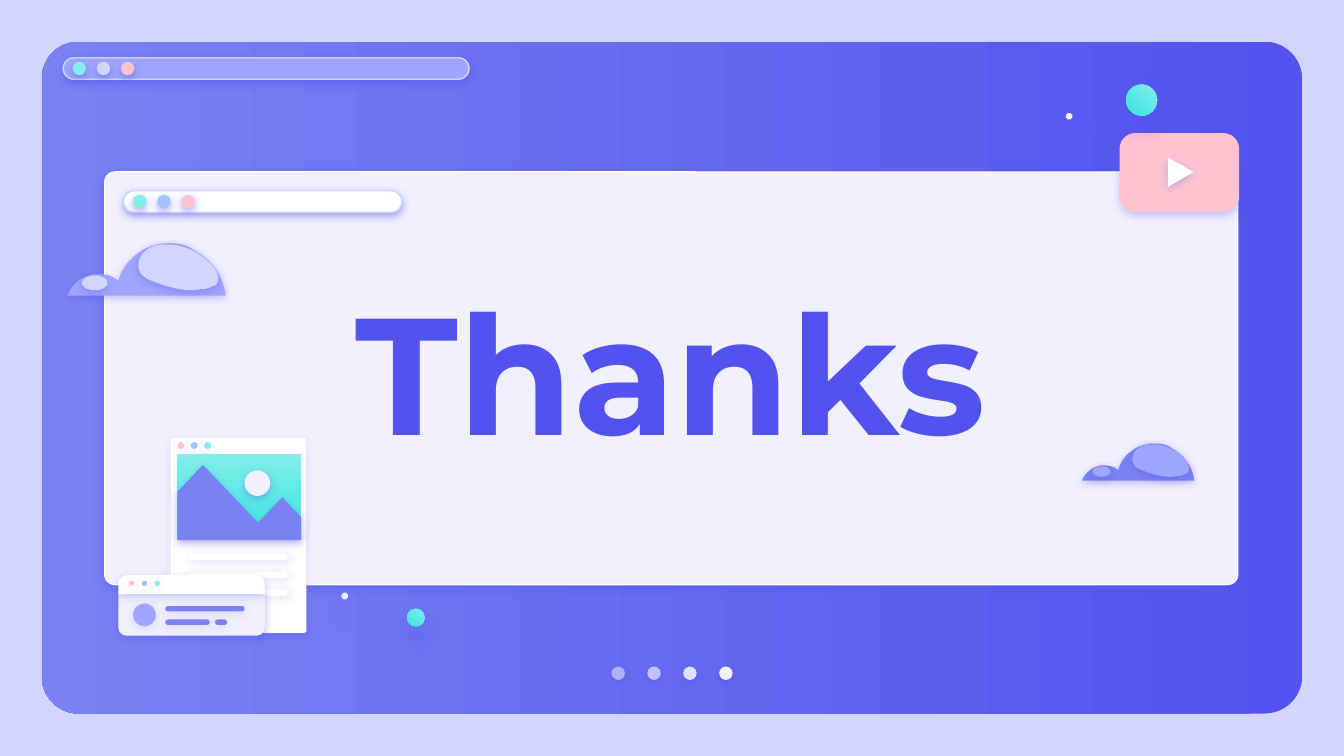
from lxml import etree
from pptx import Presentation
from pptx import util as u
from pptx.dml.color import RGBColor
from pptx.enum import shapes, text
from pptx.oxml.ns import qn

HEX = {
    "sky": "D2D6FF", "deep": "5352EE", "blue": "7882F3", "lilac": "9EA6FF",
    "pale": "F1F0FF", "white": "FFFFFF", "mint": "81EEEB", "teal": "3AE4DF",
    "pink": "FFC3D0", "azure": "A1C3FF",
}
KIND = shapes.MSO_SHAPE

# Shadows: opacity %, blur pt, distance pt, direction in degrees
HARD = (50, 4.5, 1.5, 90)
SOFT = (31, 4.5, 1.5, 90)
FAINT = (14, 4.5, 1.5, 90)
MID = (34, 4.5, 1.5, 90)
HEAD = (24, 4.5, 1.5, 90)
SIDE = (18, 4.5, 1.5, 39)
FAR = (38, 12.4, 6.8, 90)

# Cloud outlines: a start point, then curves (6 numbers) or lines (2 numbers)
BODY = [(0.76, 0), (0.67, 0, 0.58, 0.03, 0.52, 0.08),
        (0.46, 0.12, 0.4, 0.2, 0.38, 0.28), (0.34, 0.24, 0.28, 0.23, 0.23, 0.23),
        (0.21, 0.23, 0.18, 0.23, 0.16, 0.24), (0.09, 0.26, 0.03, 0.32, 0, 0.39),
        (1.18, 0.39), (1.16, 0.24, 1.07, 0.12, 0.94, 0.05),
        (0.89, 0.01, 0.82, 0, 0.76, 0)]
GLOW = [(0.75, 0.01), (0.73, 0.01, 0.71, 0.01, 0.69, 0.01),
        (0.64, 0.02, 0.59, 0.04, 0.56, 0.08), (0.53, 0.12, 0.52, 0.17, 0.54, 0.21),
        (0.56, 0.25, 0.6, 0.27, 0.63, 0.28), (0.73, 0.32, 0.83, 0.35, 0.93, 0.35),
        (0.96, 0.35, 0.99, 0.34, 1.01, 0.34), (1.04, 0.34, 1.06, 0.33, 1.08, 0.32),
        (1.1, 0.32, 1.12, 0.3, 1.12, 0.28), (1.13, 0.24, 1.11, 0.21, 1.09, 0.18),
        (1.01, 0.08, 0.88, 0.01, 0.75, 0.01)]


def trace(path, steps=10):
    """Turn an outline of curves and lines into a list of points."""
    pts = [path[0]]
    for seg in path[1:]:
        if len(seg) == 2:
            pts.append(seg)
            continue
        ends = [pts[-1], seg[:2], seg[2:4], seg[4:]]
        for i in range(1, steps + 1):
            t = i / steps
            mix = ((1 - t) ** 3, 3 * t * (1 - t) ** 2, 3 * t * t * (1 - t), t ** 3)
            pts.append(tuple(sum(m * p[k] for m, p in zip(mix, ends))
                             for k in (0, 1)))
    return pts


class Art:
    """Holds the slide and the style, and draws each kind of element."""
    font = "Montserrat"

    def __init__(self, slide):
        self.slide = slide

    def color(self, name):
        return RGBColor.from_string(HEX[name])

    def style(self, shape, fill, glow=None, line=None, alpha=100, angle=0):
        if isinstance(fill, tuple):
            shape.fill.gradient()
            shape.fill.gradient_angle = angle
            for stop, name in zip(shape.fill.gradient_stops, fill):
                stop.color.rgb = self.color(name)
        else:
            shape.fill.solid()
            shape.fill.fore_color.rgb = self.color(fill)
        if alpha < 100:
            tint = shape._element.spPr.find(qn("a:solidFill"))[0]
            etree.SubElement(tint, qn("a:alpha"), val=str(alpha * 1000))
        if line:
            shape.line.color.rgb = self.color(line)
            shape.line.width = u.Pt(0.75)
        else:
            shape.line.fill.background()
        shape.shadow.inherit = False
        if glow:
            self.shade(shape, *glow)

    def shade(self, shape, alpha, blur, dist, way):
        box = shape._element.spPr.find(qn("a:effectLst"))
        cast = etree.SubElement(
            box, qn("a:outerShdw"), blurRad=str(u.Pt(blur)), dist=str(u.Pt(dist)),
            dir=str(way * 60000), algn="bl", rotWithShape="0")
        tint = etree.SubElement(cast, qn("a:srgbClr"), val=HEX["deep"])
        etree.SubElement(tint, qn("a:alpha"), val=str(alpha * 1000))

    def form(self, kind, x, y, w, h, fill, glow=None, adj=(), rot=0, **look):
        shape = self.slide.shapes.add_shape(kind, *map(u.Inches, (x, y, w, h)))
        for i, val in enumerate(adj):
            shape.adjustments[i] = val
        shape.rotation = rot
        self.style(shape, fill, glow, **look)

    def card(self, x, y, w, h, fill, glow=None, round=0.5, **look):
        self.form(KIND.ROUNDED_RECTANGLE, x, y, w, h, fill, glow, [round], **look)

    def disc(self, x, y, size, fill, glow, **look):
        self.form(KIND.OVAL, x, y, size, size, fill, glow, **look)

    def dots(self, x, y, size, gap, fills, glow):
        for i, fill in enumerate(fills):
            self.disc(x + i * gap, y, size, fill, glow)

    def free(self, pts, fill, glow, **look):
        pts = [(u.Inches(x), u.Inches(y)) for x, y in pts]
        pen = self.slide.shapes.build_freeform(*pts[0])
        pen.add_line_segments(pts[1:], close=True)
        self.style(pen.convert_to_shape(), fill, glow, **look)

    def cloud(self, x, y, scale, base, light):
        for path, fill in ((BODY, base), (GLOW, light)):
            self.free([(x + scale * a, y + scale * b) for a, b in trace(path)],
                      fill, SOFT)
        self.form(KIND.OVAL, x + 0.11 * scale, y + 0.24 * scale,
                  0.19 * scale, 0.11 * scale, light, SOFT)

    def bar(self, x, y, w, fill, line, fills):
        self.card(x, y, w, 0.16, fill, HARD, line=line)
        self.dots(x + 0.07, y + 0.03, 0.1, 0.18, fills, HARD)

    def title(self, x, y, w, h, words, size):
        frame = self.slide.shapes.add_textbox(
            *map(u.Inches, (x, y, w, h))).text_frame
        frame.word_wrap = True
        frame.vertical_anchor = text.MSO_ANCHOR.MIDDLE
        frame.margin_left = frame.margin_right = u.Inches(0.1)
        frame.margin_top = frame.margin_bottom = u.Inches(0.1)
        frame.text = words
        para = frame.paragraphs[0]
        para.alignment = text.PP_ALIGN.CENTER
        para.line_spacing = 0.8
        font = para.runs[0].font
        font.name, font.size, font.bold = self.font, u.Pt(size), True
        font.color.rgb = self.color("deep")


def main():
    deck = Presentation()
    deck.slide_width, deck.slide_height = u.Inches(10), u.Inches(5.625)
    slide = deck.slides.add_slide(deck.slide_layouts[6])
    art = Art(slide)
    slide.background.fill.solid()
    slide.background.fill.fore_color.rgb = art.color("sky")

    # Backdrop, browser bar and page dots
    art.card(0.31, 0.31, 9.38, 5, ("deep", "blue"), round=0.056, angle=180)
    art.bar(0.47, 0.43, 3.02, "lilac", "sky", ("mint", "sky", "pink"))
    for i, alpha in enumerate((54, 67, 90, 100)):
        art.disc(4.55 + i * 0.267, 4.96, 0.1, "pale", HARD, alpha=alpha)

    # Main panel and title
    art.card(0.78, 1.28, 8.43, 3.07, "pale", HARD, 0.025, line="white")
    art.title(1.64, 1.5, 6.7, 2.77, "Thanks", 89)

    # Clouds and play button
    art.cloud(0.5, 1.81, 1, "lilac", "sky")
    art.card(8.33, 0.99, 0.89, 0.59, "pink", SOFT, 0.2)
    art.free([(8.69, 1.17), (8.69, 1.39), (8.88, 1.28)], "white", SOFT)
    art.cloud(8.05, 3.3, 0.71, "blue", "lilac")

    # Floating balls
    for x, y, size in ((8.38, 0.63, 0.23), (3.03, 4.53, 0.13)):
        art.disc(x, y, size, ("mint", "teal"), FAR, angle=225)
    for x, y in ((7.93, 0.84), (2.54, 4.41)):
        art.disc(x, y, 0.05, "pale", FAR)

    # Page with a landscape
    art.card(1.27, 3.26, 1.01, 1.45, "white", FAINT, 0.02)
    for i in range(3):
        art.card(1.4, 4.12 + i * 0.133, 0.74, 0.05, "white", SIDE)
    lights = ("pink", "azure", "mint")
    art.dots(1.32, 3.29, 0.05, 0.1, lights, FAINT)
    art.form(KIND.RECTANGLE, 1.32, 3.38, 0.92, 0.63, ("mint", "teal"), FAINT,
             angle=270)
    art.free([(1.51, 3.46), (1.32, 3.66), (1.32, 4.02), (2.24, 4.02),
              (2.24, 3.85), (2.1, 3.7), (1.92, 3.89)], "blue", MID)
    art.disc(1.82, 3.5, 0.19, "pale", MID)

    # Small message window
    half = KIND.ROUND_2_SAME_RECTANGLE
    art.form(half, 0.88, 4.41, 1.09, 0.32, "pale", MID, (0, 0.19))
    art.form(half, 0.88, 4.28, 1.09, 0.14, "white", HEAD, (0.45, 0))
    art.dots(0.96, 4.32, 0.04, 0.095, lights, FAINT)
    art.disc(0.99, 4.49, 0.17, "lilac", FAINT)
    for x, y, w in ((1.23, 4.51, 0.59), (1.23, 4.61, 0.33), (1.6, 4.61, 0.09)):
        art.card(x, y, w, 0.04, "blue", FAINT)

    # Panel search bar
    art.bar(0.92, 1.42, 2.07, "white", "sky", ("mint", "azure", "pink"))
    deck.save("out.pptx")


if __name__ == "__main__":
    main()
